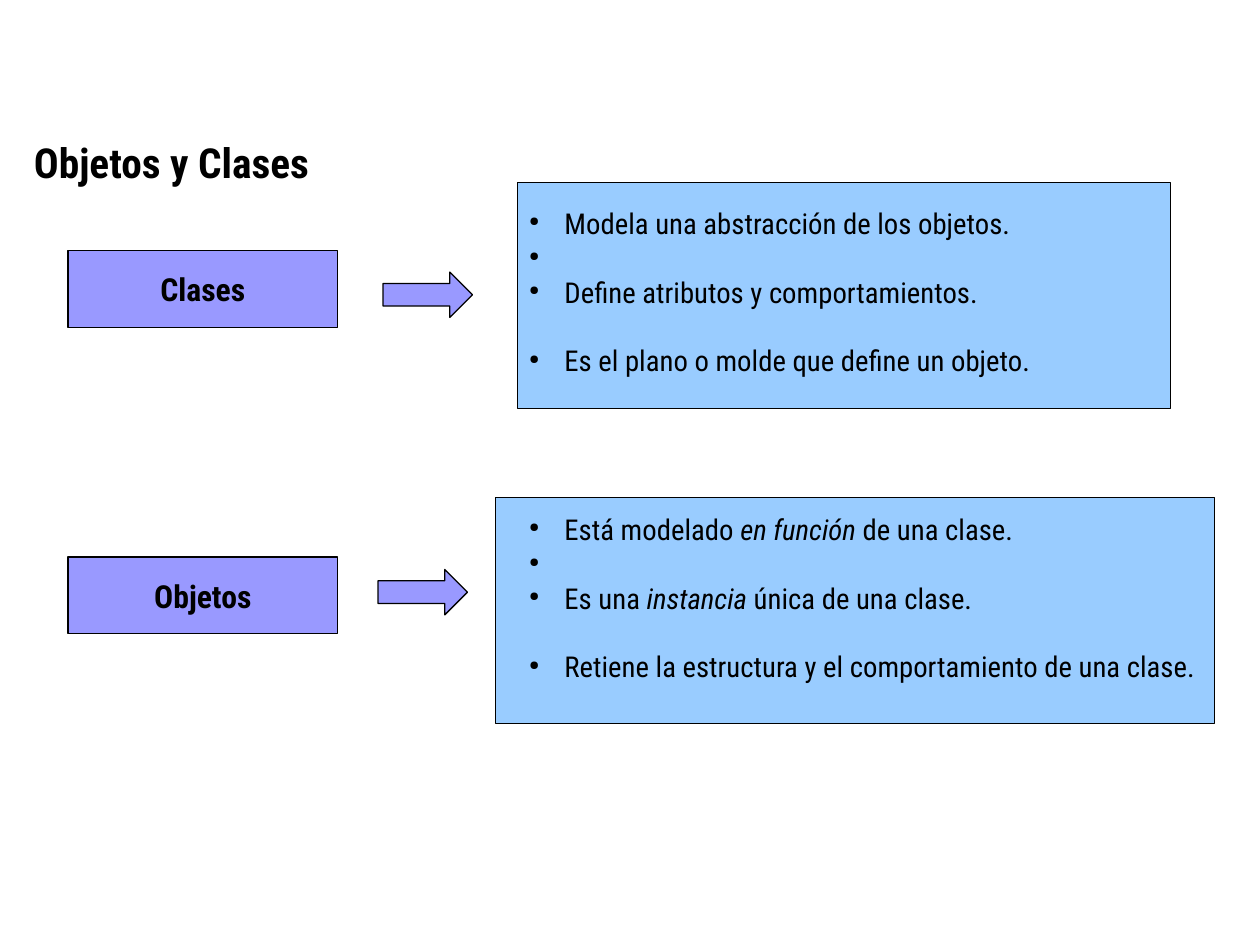
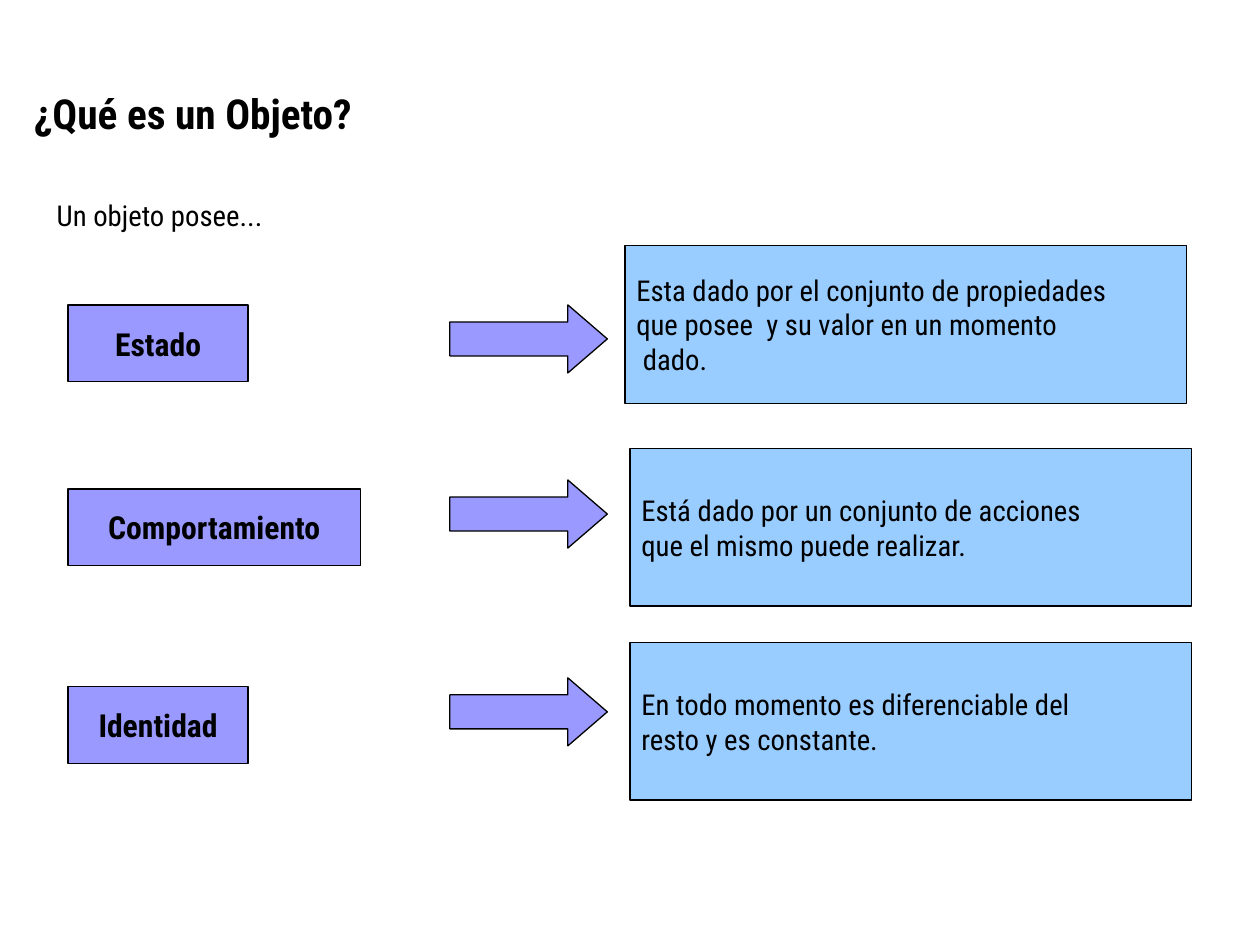
from lxml.etree import SubElement
from pptx import Presentation
from pptx.dml.color import RGBColor
from pptx.enum.shapes import MSO_SHAPE as Preset
from pptx.enum.text import MSO_ANCHOR as Anchor, PP_ALIGN as Align
from pptx.oxml.ns import qn
from pptx.util import Inches, Pt

FONT = "Roboto Condensed"
COLORS = {"ink": "000000", "label": "9999FF", "panel": "99CCFF"}
SIZES = {"title": 23.6, "label": 18.1, "body": 16.4}
LINE_PITCH = 19.6
BULLET_INDENT = 0.28
MARGIN, LABEL_LEFT, LABEL_HEIGHT = 0.18, 0.54, 0.61
TITLE_WIDTH, TITLE_HEIGHT = 9.64, 0.47

COMPARISON = {
    "title": ("Objetos y Clases", 1.05),
    "label_width": 2.14,
    "panel_height": 1.79,
    "arrow_size": (0.71, 0.36),
    "bullets_left": 4.11,
    "rows": [
        {"label": ("Clases", 1.99), "arrow": (3.04, 2.16),
         "panel": (4.11, 1.45, 5.18), "bullets": (1.59, 4.71, 1.41),
         "points": ["Modela una abstracción de los objetos.", " ",
                    "Define atributos y comportamientos.",
                    "Es el plano o molde que define un objeto."]},
        {"label": ("Objetos", 4.42), "arrow": (3.0, 4.52),
         "panel": (3.93, 3.95, 5.71), "bullets": (4.02, 5.71, 1.67),
         "points": ["Está modelado *en función* de una clase.", " ",
                    "Es una *instancia* única de una clase.",
                    "Retiene la estructura y el comportamiento de una clase."]},
    ],
}

TRAITS = {
    "title": ("¿Qué es un Objeto?", 0.66),
    "intro": ("Un objeto posee...", (0.36, 1.53, 2.14, 0.35)),
    "arrow_left": 3.57,
    "arrow_size": (1.25, 0.54),
    "panel_size": (4.46, 1.25),
    "rows": [
        {"label": ("Estado", 2.42, 1.43), "arrow_top": 2.42, "panel": (4.96, 1.95),
         "lines": ["Esta dado por el conjunto de propiedades",
                   "que posee  y su valor en un momento", " dado."]},
        {"label": ("Comportamiento", 3.88, 2.32), "arrow_top": 3.81, "panel": (5.0, 3.56),
         "lines": ["Está dado por un conjunto de acciones",
                   "que el mismo puede realizar."]},
        {"label": ("Identidad", 5.45, 1.43), "arrow_top": 5.38, "panel": (5.0, 5.1),
         "lines": ["En todo momento es diferenciable del",
                   "resto y es constante."]},
    ],
}


def color(name):
    return RGBColor.from_string(COLORS[name])


def write(shape, lines, style="body", anchor=Anchor.TOP, align=Align.LEFT):
    """Fill a shape with lines of text; asterisks enclose italics."""
    frame = shape.text_frame
    frame.word_wrap = True
    frame.vertical_anchor = anchor
    frame.margin_left = frame.margin_right = Inches(0.09)
    frame.margin_top = frame.margin_bottom = Inches(0.04)
    frame.text = "\n".join(line.replace("*", "") for line in lines)
    for paragraph, line in zip(frame.paragraphs, lines):
        paragraph.alignment = align
        parts = line.split("*")
        paragraph.runs[0].text = parts[0]
        for part in parts[1:]:
            paragraph.add_run().text = part
        for index, run in enumerate(paragraph.runs):
            run.font.name = FONT
            run.font.size = Pt(SIZES[style])
            run.font.bold = style != "body"
            run.font.italic = index % 2 == 1
            run.font.color.rgb = color("ink")
    return frame


def add_text(slide, box, lines, style="body"):
    return write(slide.shapes.add_textbox(*map(Inches, box)), lines, style)


def add_block(slide, box, fill, preset=Preset.RECTANGLE):
    shape = slide.shapes.add_shape(preset, *map(Inches, box))
    shape.shadow.inherit = False
    shape.fill.solid()
    shape.fill.fore_color.rgb = color(fill)
    shape.line.color.rgb = color("ink")
    shape.line.width = Pt(0.75)
    return shape


def add_label(slide, text, top, width):
    label = add_block(slide, (LABEL_LEFT, top, width, LABEL_HEIGHT), "label")
    write(label, [text], "label", Anchor.MIDDLE, Align.CENTER)


def add_arrow(slide, left, top, size, head):
    arrow = add_block(slide, (left, top, *size), "label", Preset.RIGHT_ARROW)
    arrow.adjustments[0] = 0.5
    arrow.adjustments[1] = head


def add_bullets(slide, box, points):
    paragraphs = add_text(slide, box, points).paragraphs
    for paragraph in paragraphs:
        properties = paragraph._p.get_or_add_pPr()
        properties.set("marL", str(Inches(BULLET_INDENT)))
        properties.set("indent", str(-Inches(BULLET_INDENT)))
    paragraphs[-1].space_before = Pt(LINE_PITCH)
    for paragraph in paragraphs:
        properties = paragraph._p.get_or_add_pPr()
        bullet_color = SubElement(properties, qn("a:buClr"))
        SubElement(bullet_color, qn("a:srgbClr"), val=COLORS["ink"])
        SubElement(properties, qn("a:buSzPct"), val="45000")
        SubElement(properties, qn("a:buChar"), char="●")


def add_slide(presentation, title, top):
    slide = presentation.slides.add_slide(presentation.slide_layouts[6])
    add_text(slide, (MARGIN, top, TITLE_WIDTH, TITLE_HEIGHT), [title], "title")
    return slide


def build_comparison(presentation, content):
    slide = add_slide(presentation, *content["title"])
    for row in content["rows"]:
        add_block(slide, (*row["panel"], content["panel_height"]), "panel")
        add_label(slide, *row["label"], content["label_width"])
        add_bullets(slide, (content["bullets_left"], *row["bullets"]), row["points"])
        add_arrow(slide, *row["arrow"], content["arrow_size"], 0.5)


def build_traits(presentation, content):
    slide = add_slide(presentation, *content["title"])
    intro, box = content["intro"]
    add_text(slide, box, [intro])
    for row in content["rows"]:
        add_label(slide, *row["label"])
        add_arrow(slide, content["arrow_left"], row["arrow_top"], content["arrow_size"], 0.58)
        panel = add_block(slide, (*row["panel"], *content["panel_size"]), "panel")
        write(panel, row["lines"], anchor=Anchor.MIDDLE)


def main():
    presentation = Presentation()
    presentation.slide_width, presentation.slide_height = Inches(10), Inches(7.5)
    build_comparison(presentation, COMPARISON)
    build_traits(presentation, TRAITS)
    presentation.save("out.pptx")


if __name__ == "__main__":
    main()
